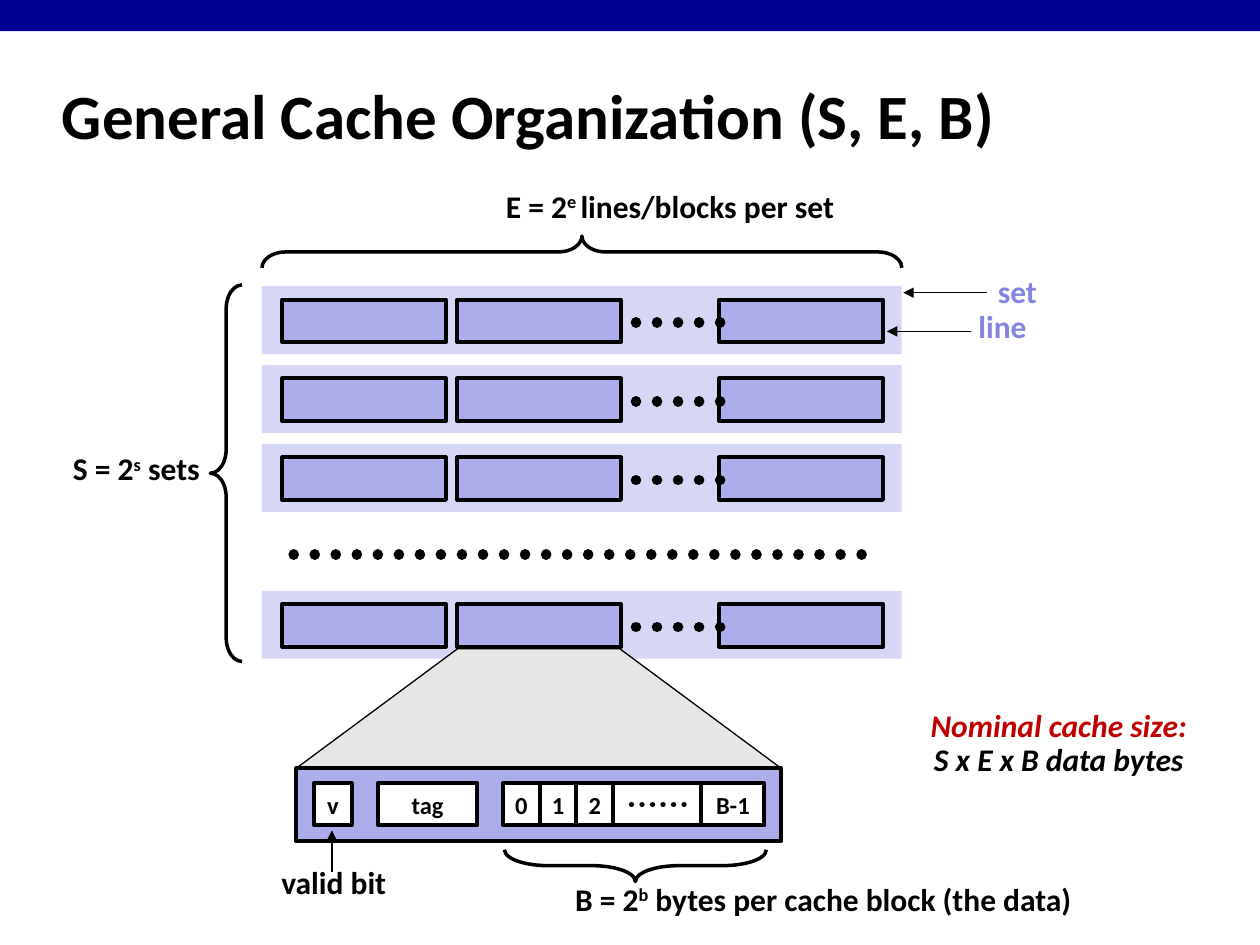
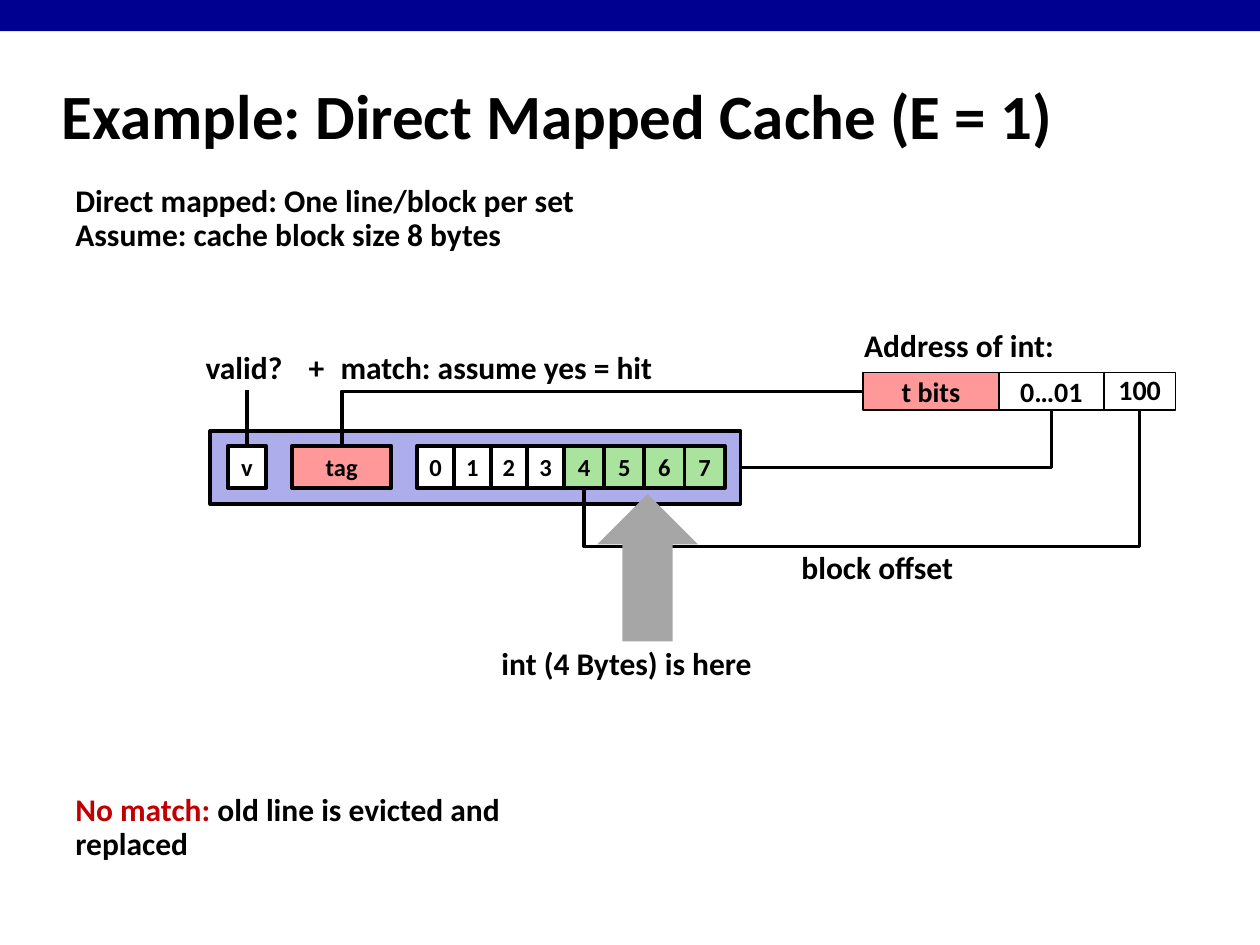
from dataclasses import dataclass

from lxml import etree
from pptx import Presentation
from pptx.dml.color import RGBColor
from pptx.enum.dml import MSO_LINE
from pptx.enum.shapes import MSO_CONNECTOR, MSO_SHAPE
from pptx.enum.text import MSO_ANCHOR, PP_ALIGN
from pptx.oxml.ns import qn
from pptx.util import Cm, Pt

RECT, BRACE = MSO_SHAPE.RECTANGLE, MSO_SHAPE.LEFT_BRACE
TRAP, ARROW = MSO_SHAPE.TRAPEZOID, MSO_SHAPE.UP_ARROW
STRAIGHT, ELBOW = MSO_CONNECTOR.STRAIGHT, MSO_CONNECTOR.ELBOW
DOTS = MSO_LINE.ROUND_DOT
MIDDLE, TOP = MSO_ANCHOR.MIDDLE, MSO_ANCHOR.TOP
LEFT, CENTER = PP_ALIGN.LEFT, PP_ALIGN.CENTER
NORTH, WEST, SOUTH, EAST = range(4)


@dataclass(frozen=True)
class Theme:
    font: str = "Calibri"
    black: str = "000000"
    white: str = "FFFFFF"
    navy: str = "000090"
    pale: str = "D6D6F5"
    lilac: str = "ADADEB"
    violet: str = "8585E0"
    red: str = "C00000"
    pink: str = "FF9999"
    green: str = "A9E39D"
    mist: str = "E6E6E6"
    gray: str = "A6A6A6"
    title: int = 36
    body: int = 18
    field: int = 16
    cell: int = 14
    thin: float = 0.75
    edge: float = 1
    wire: float = 2
    frame: float = 2.25
    small: float = 3
    large: float = 6


T = Theme()


def rgb(code):
    return RGBColor.from_string(code)


def style(run, size, color):
    font = run.font
    font.name, font.size, font.bold = T.font, Pt(size), True
    font.color.rgb = rgb(color)


def write(frame, lines, size, color=T.black, align=CENTER, lead=None):
    frame.text = "\n".join(lines)
    for para, line in zip(frame.paragraphs, lines):
        para.alignment = align
        para.line_spacing = lead
        pieces = line.split("^")
        para.text = pieces[0]
        for piece in pieces[1:]:
            para.add_run().text = piece
        for i, run in enumerate(para.runs):
            style(run, size, color)
            if i % 2:
                run.font._element.set("baseline", "30000")


def label(slide, lines, x, y, w, h=1.02, color=T.black, align=CENTER):
    frame = slide.shapes.add_textbox(Cm(x), Cm(y), Cm(w), Cm(h)).text_frame
    frame.word_wrap = False
    frame.vertical_anchor = TOP
    write(frame, lines, T.body, color, align, 0.9)
    return frame


def block(slide, x, y, w, h, fill=None, edge=None, kind=RECT):
    shape = slide.shapes.add_shape(kind, Cm(x), Cm(y), Cm(w), Cm(h))
    shape.shadow.inherit = False
    if fill:
        shape.fill.solid()
        shape.fill.fore_color.rgb = rgb(fill)
    else:
        shape.fill.background()
    if edge:
        shape.line.color.rgb = rgb(T.black)
        shape.line.width = Pt(edge)
    else:
        shape.line.fill.background()
    return shape


def cell(slide, text, x, y, w, h, fill=T.white, edge=T.frame, size=T.cell, lead=None):
    shape = block(slide, x, y, w, h, fill, edge)
    frame = shape.text_frame
    frame.margin_left = frame.margin_right = 0
    frame.margin_top = frame.margin_bottom = 0
    frame.vertical_anchor = MIDDLE
    if text:
        write(frame, [text], size, lead=lead)
    return shape


def brace(slide, x, y, span, turn=0, curl=0.75):
    thick = 0.64
    shape = block(slide, x - thick / 2, y - span / 2, thick, span, None, T.wire, BRACE)
    shape.adjustments[0] = curl
    shape.rotation = turn


def link(slide, kind, x1, y1, x2, y2, width):
    line = slide.shapes.add_connector(kind, Cm(x1), Cm(y1), Cm(x2), Cm(y2))
    line.line.color.rgb = rgb(T.black)
    line.line.width = Pt(width)
    etree.SubElement(line._element.spPr, qn("a:effectLst"))
    return line


def arrow(slide, x1, y1, x2, y2):
    line = link(slide, STRAIGHT, x1, y1, x2, y2, T.thin)
    etree.SubElement(line.line._get_or_add_ln(), qn("a:tailEnd"), type="triangle")


def dots(slide, x, y, span, width):
    line = link(slide, STRAIGHT, x, y, x + span, y, width)
    line.line.dash_style = DOTS
    line.line._get_or_add_ln().set("cap", "rnd")


def elbow(slide, start, side, end, goal, turn, flip=False, bend=None):
    line = link(slide, ELBOW, 0, 0, 1, 1, T.wire)
    line.begin_connect(start, side)
    line.end_connect(end, goal)
    midx = (line.begin_x + line.end_x) // 2
    midy = (line.begin_y + line.end_y) // 2
    w, h = abs(line.end_x - line.begin_x), abs(line.end_y - line.begin_y)
    if turn == 90:
        w, h = h, w
    line.left, line.top, line.width, line.height = midx - w // 2, midy - h // 2, w, h
    props = line._element.spPr
    frame = props.find(qn("a:xfrm"))
    frame.set("rot", str(turn * 60000))
    frame.set("flipH", "0")
    frame.set("flipV", str(int(flip)))
    shape = props.find(qn("a:prstGeom"))
    shape.set("prst", "bentConnector3" if bend else "bentConnector2")
    if bend:
        guide = etree.SubElement(shape.find(qn("a:avLst")), qn("a:gd"))
        guide.set("name", "adj1")
        guide.set("fmla", f"val {round(bend * 100000)}")


def start(deck, title):
    slide = deck.slides.add_slide(deck.slide_layouts[6])
    block(slide, 0, 0, 25.4, 0.63, T.navy)
    frame = slide.shapes.add_textbox(Cm(1), Cm(1.25), Cm(22.5), Cm(2.1)).text_frame
    frame.word_wrap = True
    frame.vertical_anchor = MIDDLE
    write(frame, [title], T.title, align=LEFT)
    return slide


def row(slide, x, y, w):
    block(slide, x, y, w, 1.37, T.pale)
    for shift in (0.41, 3.94, 9.22):
        block(slide, x + shift, y + 0.27, 3.3, 0.86, T.lilac, T.frame)
    dots(slide, x + 7.54, y + 0.73, 1.7, T.large)


def grid(slide, x, y, w):
    for step in (0, 1.59, 3.18, 6.14):
        row(slide, x, y + step, w)
    dots(slide, x + 0.64, y + 5.41, 11.86, T.large)
    brace(slide, x + w / 2, y - 0.69, w, 90)
    brace(slide, x - 0.72, y + 3.77, 7.59)
    label(slide, ["E = 2^e ^lines/blocks per set"], x + 4.6, y - 2.04, 7.26)
    label(slide, ["S = 2^s^ sets"], x - 4.09, y + 3.25, 3.12)
    arrow(slide, x + 14.61, y + 0.13, x + w + 0.03, y + 0.13)
    label(slide, ["set"], x + 14.58, y - 0.33, 1.3, color=T.violet)
    arrow(slide, x + 14.3, y + 0.91, x + 12.6, y + 0.91)
    label(slide, ["line"], x + 14.18, y + 0.38, 1.5, color=T.violet)


def cache(slide, x, y, w, data, hue=T.white):
    parts = {"line": block(slide, x, y, w, 1.47, T.lilac, T.frame)}
    spots = [("v", 0.36, 0.76, T.white), ("tag", 1.65, 2, hue)]
    left = 4.17
    for text, wide, fill in data:
        spots.append((text, left, wide, fill))
        left += wide
    for text, left, wide, fill in spots:
        parts[text] = cell(slide, text, x + left, y + 0.3, wide, 0.85, fill)
    return parts


def zoom(slide, x, y, w):
    cone = block(slide, x, y - 2.41, w, 2.41, T.mist, T.thin, TRAP)
    cone.adjustments[0] = 1.35
    data = [(str(i), 0.74, T.white) for i in range(3)]
    data += [("", 1.78, T.white), ("B-1", 1.27, T.white)]
    cache(slide, x, y, w, data)
    dots(slide, x + 6.76, y + 0.73, 1.27, T.small)
    label(slide, ["valid bit"], x - 0.56, y + 1.86, 2.64)
    arrow(slide, x + 0.72, y + 2.09, x + 0.72, y + 1.25)
    brace(slide, x + 6.84, y + 1.96, 5.28, 270, 1.37)
    label(slide, ["B = 2^b^ bytes per cache block (the data)"], x + 5.18, y + 2.21, 10.9)


def size(slide, x, y, w):
    frame = label(slide, ["Nominal cache size:", "S x E x B data bytes"], x, y, w, 1.65)
    for para, color in zip(frame.paragraphs, (T.red, T.black)):
        run = para.runs[0]
        run.font.italic = True
        run.font.color.rgb = rgb(color)


def address(slide, x, y):
    label(slide, ["Address of int:"], x - 0.25, y - 0.97, 4.37)
    parts = []
    fields = (("t bits", 2.74, T.pink, None), ("0…01", 2.11, T.white, None),
              ("100", 1.45, T.white, 0.9))
    for text, w, fill, lead in fields:
        parts.append(cell(slide, text, x, y, w, 0.76, fill, T.edge, T.field, lead))
        x += w
    return parts


def lookup(slide, x, y, w, fields):
    data = [(str(i), 0.74, T.white) for i in range(4)]
    data += [(str(i), 0.81, T.green) for i in range(4, 8)]
    parts = cache(slide, x, y, w, data, T.pink)
    tag, index, offset = fields
    elbow(slide, index, SOUTH, parts["line"], EAST, 90)
    elbow(slide, tag, WEST, parts["tag"], NORTH, 180, True)
    elbow(slide, offset, SOUTH, parts["4"], SOUTH, 90, bend=1.75)
    check = link(slide, STRAIGHT, x + 0.74, y - 0.82, x + 0.74, y + 0.3, T.wire)
    check.end_connect(parts["v"], NORTH)
    for text, left, wide in (("valid?", -0.35, 2.06), ("+", 1.73, 0.61),
                             ("match: assume yes = hit", 2.34, 6.86)):
        label(slide, [text], x + left, y - 1.71, wide)
    block(slide, x + 7.8, y + 1.27, 2.03, 2.97, T.gray, kind=ARROW)
    label(slide, ["int (4 Bytes) is here"], x + 5.59, y + 4.26, 5.61)
    label(slide, ["block offset"], x + 11.64, y + 2.31, 3.61)


def notes(slide, x, y, w):
    intro = ["Direct mapped: One line/block per set", "Assume: cache block size 8 bytes"]
    label(slide, intro, x, y, w, 1.65, align=LEFT)
    frame = label(slide, ["No match: "], x, y + 12.27, w, 1.27, T.red, LEFT)
    rest = frame.paragraphs[0].add_run()
    rest.text = "old line is evicted and replaced"
    style(rest, T.body, T.black)


def general(deck):
    slide = start(deck, "General Cache Organization (S, E, B)")
    grid(slide, 5.28, 5.77, 12.9)
    zoom(slide, 5.97, 15.49, 9.78)
    size(slide, 18.36, 14.2, 5.97)


def direct(deck):
    slide = start(deck, "Example: Direct Mapped Cache (E = 1)")
    fields = address(slide, 17.4, 7.51)
    lookup(slide, 4.24, 8.69, 10.69, fields)
    notes(slide, 1.27, 3.61, 10.64)


def main():
    deck = Presentation()
    deck.slide_width, deck.slide_height = Cm(25.4), Cm(19.05)
    general(deck)
    direct(deck)
    deck.save("out.pptx")


if __name__ == "__main__":
    main()
